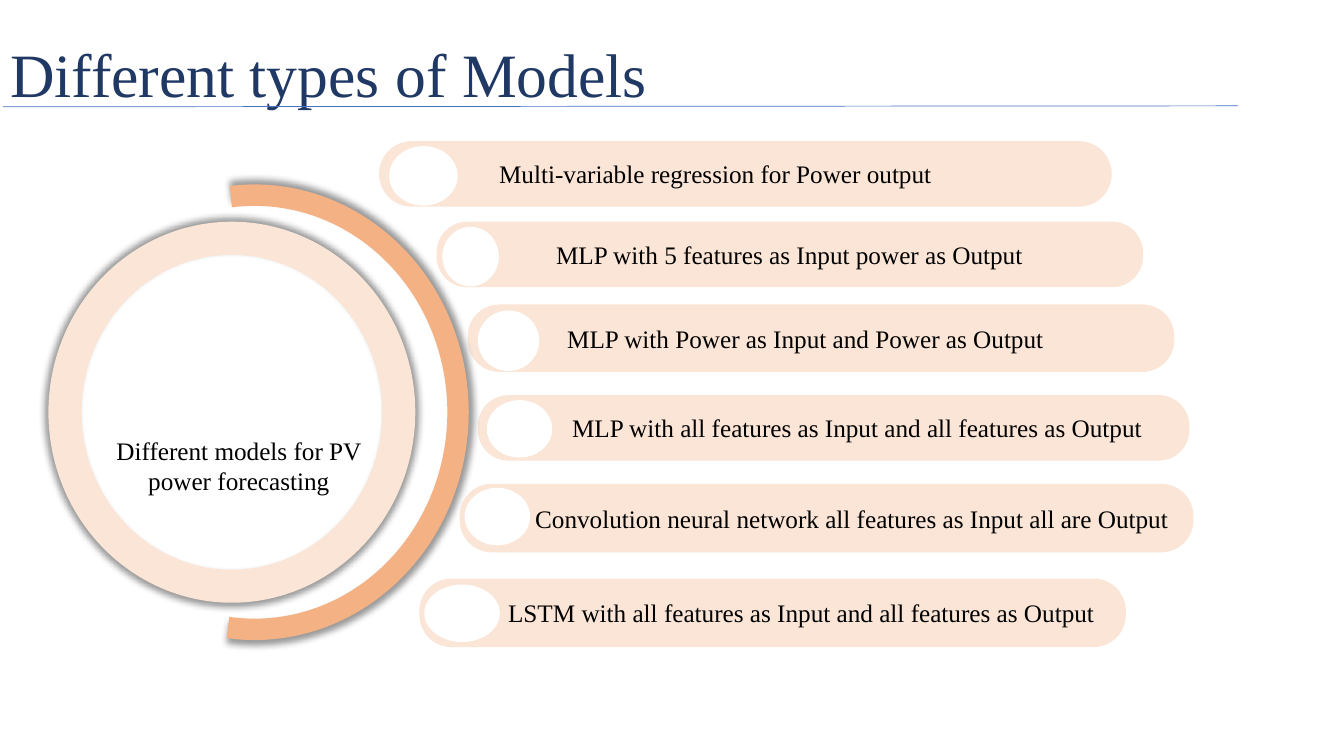
from lxml import etree
from pptx import Presentation
from pptx.dml.color import RGBColor
from pptx.enum.shapes import MSO_CONNECTOR, MSO_SHAPE
from pptx.enum.text import MSO_ANCHOR, MSO_AUTO_SIZE, PP_ALIGN
from pptx.oxml import parse_xml
from pptx.oxml.ns import nsdecls, qn
from pptx.util import Inches, Pt

ROUND_RECT, OVAL = MSO_SHAPE.ROUNDED_RECTANGLE, MSO_SHAPE.OVAL
ARC, DONUT = MSO_SHAPE.BLOCK_ARC, MSO_SHAPE.DONUT
LEFT, CENTER = PP_ALIGN.LEFT, PP_ALIGN.CENTER
MIDDLE, NO_FIT = MSO_ANCHOR.MIDDLE, MSO_AUTO_SIZE.NONE
STRAIGHT = MSO_CONNECTOR.STRAIGHT

NAVY = RGBColor(0x20, 0x38, 0x64)
BLUE = RGBColor(0x44, 0x72, 0xC4)
PEACH = RGBColor(0xFB, 0xE5, 0xD6)
ORANGE = RGBColor(0xF4, 0xB1, 0x83)
WHITE = RGBColor(0xFF, 0xFF, 0xFF)
BLACK = RGBColor(0, 0, 0)
FONT = "Times New Roman"

WIDTH, HEIGHT = Inches(13.33), Inches(7.5)
COL, ROW = WIDTH / 100, HEIGHT / 100
CORNER_INSET = 0.29  # share of the corner radius that insets the text

# label, bar (left, top, width, height), label start, circle box
MODELS = [
    ("Multi-variable regression for Power output",
     (28.2, 18.67, 54.52, 8.67), 37.13, (28.95, 19.33, 5.1, 7.87)),
    ("MLP with 5 features as Input power as Output",
     (32.48, 29.33, 52.57, 8.67), 41.37, (32.92, 30, 4.2, 7.87)),
    ("MLP with Power as Input and Power as Output",
     (34.8, 40.27, 52.57, 8.93), 42.19, (35.55, 41.07, 4.57, 8)),
    ("MLP with all features as Input and all features as Output",
     (35.55, 52.27, 52.95, 8.67), 42.56, (36.22, 52.93, 4.87, 7.6)),
    ("Convolution neural network all features as Input all are Output",
     (34.2, 64, 54.6, 9.07), 39.81, (34.57, 64.53, 4.87, 7.6)),
    ("LSTM with all features as Input and all features as Output",
     (31.2, 76.53, 52.57, 9.07), 37.8, (31.57, 77.33, 5.62, 7.6)),
]


def place(left, top, width, height):
    """Turn grid columns and rows into slide lengths."""
    return (round(left * COL), round(top * ROW),
            round(width * COL), round(height * ROW))


def write(tf, text, size, color, align):
    tf.text = text
    tf.word_wrap = True
    p = tf.paragraphs[0]
    p.alignment = align
    font = p.runs[0].font
    font.name, font.size = FONT, Pt(size)
    font.color.rgb = color


def add_filled(slide, kind, box, color, adjustments=()):
    sp = slide.shapes.add_shape(kind, *place(*box))
    sp.shadow.inherit = False
    sp.fill.solid()
    sp.fill.fore_color.rgb = color
    sp.line.fill.background()
    for i, value in enumerate(adjustments):
        sp.adjustments[i] = value
    return sp


def add_halo(sp):
    """Give the shape a soft grey shadow on all sides."""
    effects = sp._element.spPr.find(qn("a:effectLst"))
    effects.append(parse_xml(
        f'<a:outerShdw {nsdecls("a")} blurRad="63500" sx="102000" sy="102000" '
        'algn="ctr" rotWithShape="0"><a:prstClr val="black">'
        '<a:alpha val="40000"/></a:prstClr></a:outerShdw>'))


def add_title(slide):
    sp = slide.shapes.title
    sp.left, sp.top, sp.width, sp.height = place(0, 0.8, 86.25, 18.8)
    tf = sp.text_frame
    write(tf, "Different types of Models", 44, NAVY, LEFT)
    tf.auto_size, tf.vertical_anchor = NO_FIT, MIDDLE
    tf.paragraphs[0].line_spacing = 0.9


def add_title_rule(slide):
    start_x, start_y, end_x, end_y = place(0.22, 14.13, 92.1, 14)
    rule = slide.shapes.add_connector(STRAIGHT, start_x, start_y, end_x, end_y)
    rule.line.color.rgb = BLUE
    rule.line.width = Pt(0.5)
    etree.SubElement(rule._element.spPr, qn("a:effectLst"))


def add_model(slide, label, bar, label_left, circle, roundness):
    sp = add_filled(slide, ROUND_RECT, bar, PEACH, [roundness])
    tf = sp.text_frame
    write(tf, label, 18, BLACK, LEFT)
    tf.vertical_anchor = MIDDLE
    inset = CORNER_INSET * roundness * sp.height
    tf.margin_left = round(label_left * COL - sp.left - inset)
    tf.margin_right = 0
    add_filled(slide, OVAL, circle, WHITE)


def add_caption(slide):
    box = slide.shapes.add_textbox(*place(6.9, 56.93, 21.75, 9.47))
    write(box.text_frame, "Different models for PV power forecasting",
          18, BLACK, CENTER)


def main():
    prs = Presentation()
    prs.slide_width, prs.slide_height = WIDTH, HEIGHT
    slide = prs.slides.add_slide(prs.slide_layouts[5])
    add_title(slide)
    add_title_rule(slide)
    for i, model in enumerate(MODELS):
        add_model(slide, *model, roundness=0.47 if i else 0.5)
    add_halo(add_filled(slide, ARC, (3, 24.4, 31.88, 60.27), ORANGE,
                        [158.23, 58.21, 0.05]))
    add_halo(add_filled(slide, DONUT, (3.6, 29.33, 27.3, 50.4), PEACH, [0.09]))
    add_caption(slide)
    prs.save("out.pptx")


if __name__ == "__main__":
    main()
